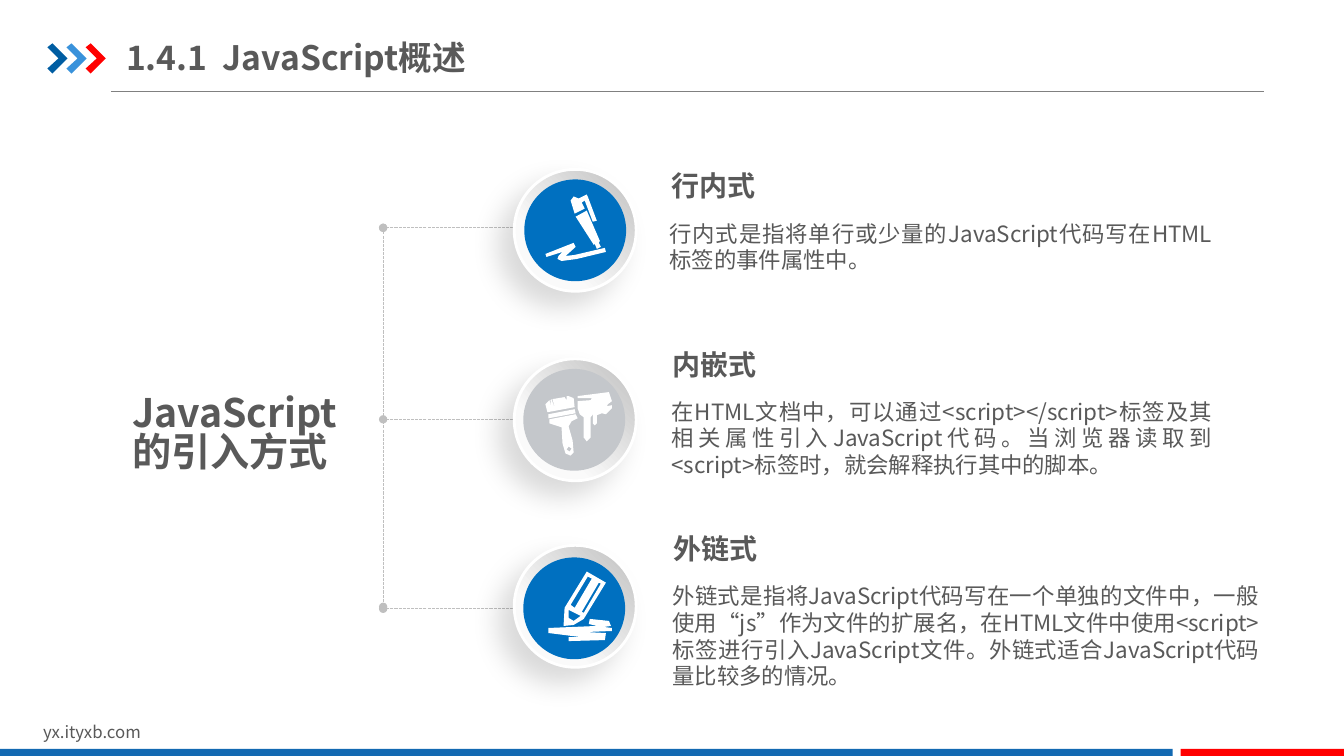
from lxml.etree import SubElement
from pptx import Presentation
from pptx.dml.color import RGBColor
from pptx.enum.dml import MSO_LINE
from pptx.enum.shapes import MSO_CONNECTOR, MSO_SHAPE
from pptx.enum.text import MSO_ANCHOR, MSO_AUTO_SIZE, PP_ALIGN
from pptx.oxml.ns import qn
from pptx.util import Emu, Pt

COLORS = {
    "text": "595959", "rule": "808080", "wire": "BFBFBF", "white": "FFFFFF",
    "navy": "005DA2", "sky": "3992DB", "red": "FF0000", "bar": "1369B2",
    "blue": "0070C0", "silver": "C4C7CB", "ring_dark": "BFBFBF", "ring_light": "FAFAFA",
    "shadow": "000000",
}

CHEVRON = [[(47, 47), (52, 43), (67, 58), (52, 73), (47, 68), (58, 58)]]

PEN = [
    [(571, 215), (582, 209), (595, 239), (594, 241), (596, 245), (592, 247), (590, 242),
     (589, 243)],
    [(541, 252), (542, 255), (558, 250), (554, 254), (553, 257), (557, 259), (572, 257),
     (601, 250), (600, 246), (570, 253), (561, 254), (571, 245), (569, 241)],
    [(574, 197), (569, 195), (566, 199), (570, 212), (580, 207), (577, 201), (580, 199),
     (588, 220), (592, 219), (583, 195), (582, 193), (580, 194)],
]

BRUSHES = [
    [(592, 412), (592, 420), (590, 422), (588, 420), (588, 411), (586, 414), (586, 434),
     (582, 438), (579, 434), (579, 414), (575, 411), (573, 405), (573, 398), (586, 397),
     (587, 395), (573, 395), (573, 393), (604, 389), (607, 398), (603, 401), (602, 403),
     (607, 402), (607, 405), (601, 411), (597, 410)],
    [(544, 411), (570, 406), (571, 410), (544, 415)],
    [(571, 411), (545, 416), (545, 420), (557, 424), (558, 440), (561, 450), (566, 452),
     (569, 449), (568, 437), (564, 423), (567, 418), (573, 415)],
    [(564, 443), (567, 445), (565, 448), (562, 446)],
    [(570, 404), (569, 395), (564, 393), (562, 393), (562, 397), (560, 394), (548, 396),
     (550, 403), (550, 404), (547, 396), (546, 397), (547, 404), (545, 397), (541, 401),
     (543, 409)],
]

PENCIL = [
    [(582, 567), (601, 578), (579, 614), (569, 620), (559, 621), (560, 603)],
    [(600, 635), (601, 628), (581, 627), (607, 626), (607, 623), (599, 622), (606, 621),
     (604, 616), (585, 614), (584, 619), (592, 621), (544, 623), (544, 628), (576, 632),
     (564, 632), (564, 636)],
    [(569, 616), (576, 611), (564, 605), (564, 613)],
    [(594, 578), (577, 607), (579, 608), (596, 579)],
    [(583, 572), (566, 600), (570, 603), (587, 574)],
]

METHODS = [
    dict(wire=226, ring=168, disc=(520, 178), color="blue", icon=PEN,
         heading="行内式", heading_at=(666, 173), body_box=(664, 219, 538, 62),
         body="行内式是指将单行或少量的JavaScript代码写在HTML标签的事件属性中。"),
    dict(wire=416, ring=356, disc=(519, 366), color="silver", icon=BRUSHES,
         heading="内嵌式", heading_at=(667, 350), body_box=(666, 396, 536, 94),
         body="在HTML文档中，可以通过<script></script>标签及其相关属性引入JavaScript代码。"
              "当浏览器读取到<script>标签时，就会解释执行其中的脚本。"),
    dict(wire=604, ring=541, disc=(519, 553), color="blue", icon=PENCIL,
         heading="外链式", heading_at=(668, 533), body_box=(667, 579, 582, 129),
         body="外链式是指将JavaScript代码写在一个单独的文件中，一般使用“js”作为文件的扩展名，"
              "在HTML文件中使用<script>标签进行引入JavaScript文件。"
              "外链式适合JavaScript代码量比较多的情况。"),
]


class SlideBuilder:
    font = "Noto Sans CJK SC"
    scale = 9144
    tight = 0.83
    loose = 0.99

    def __init__(self):
        self.deck = Presentation()
        self.deck.slide_width = self.px(1333)
        self.deck.slide_height = self.px(750)
        self.slide = self.deck.slides.add_slide(self.deck.slide_layouts[5])
        self.shapes = self.slide.shapes

    def px(self, length):
        return Emu(length * self.scale)

    def rgb(self, color):
        return RGBColor.from_string(COLORS[color])

    def fill_frame(self, frame, text, size, bold, align, spacing, insets):
        frame.word_wrap = True
        frame.auto_size = MSO_AUTO_SIZE.NONE
        frame.margin_left = frame.margin_right = self.px(insets[0])
        frame.margin_top = frame.margin_bottom = self.px(insets[1])
        frame.text = text
        paragraph = frame.paragraphs[0]
        paragraph.alignment = align
        paragraph.line_spacing = spacing
        for run in paragraph.runs:
            run.font.size = Pt(size)
            run.font.bold = bold
            run.font.name = self.font
            run.font.color.rgb = self.rgb("text")
            SubElement(run._r.get_or_add_rPr(), qn("a:ea"), typeface=self.font)

    def title(self, text, box, size):
        title = self.shapes.title
        title.left, title.top, title.width, title.height = map(self.px, box)
        self.fill_frame(title.text_frame, text, size, True, PP_ALIGN.LEFT, 1.0, (0, 7))
        title.text_frame.vertical_anchor = MSO_ANCHOR.MIDDLE

    def text(self, text, box, size, bold=False, align=PP_ALIGN.LEFT, spacing=tight,
             insets=(0, 0)):
        area = self.shapes.add_textbox(*map(self.px, box))
        self.fill_frame(area.text_frame, text, size, bold, align, spacing, insets)

    def paint(self, shape, color):
        shape.shadow.inherit = False
        shape.fill.solid()
        shape.fill.fore_color.rgb = self.rgb(color)
        shape.line.fill.background()

    def block(self, kind, box, color):
        self.paint(self.shapes.add_shape(kind, *map(self.px, box)), color)

    def outline(self, contours, color, shift=0):
        moved = [[(x + shift, y) for x, y in contour] for contour in contours]
        builder = self.shapes.build_freeform(*moved[0][0], scale=self.scale)
        for contour in moved:
            if contour is not moved[0]:
                builder.move_to(*contour[0])
            builder.add_line_segments(contour[1:], close=True)
        self.paint(builder.convert_to_shape(), color)

    def line(self, start, end, color, dotted=False):
        line = self.shapes.add_connector(MSO_CONNECTOR.STRAIGHT, *map(self.px, start + end))
        line.line.color.rgb = self.rgb(color)
        line.line.width = Pt(0.75)
        if dotted:
            line.line.dash_style = MSO_LINE.SQUARE_DOT
            stroke = line._element.spPr.find(qn("a:ln"))
            for tip in ("a:headEnd", "a:tailEnd"):
                SubElement(stroke, qn(tip), type="oval")
        SubElement(line._element.spPr, qn("a:effectLst"))

    def ring(self, box):
        ring = self.shapes.add_shape(MSO_SHAPE.OVAL, *map(self.px, box))
        ring.fill.gradient()
        ring.fill.gradient_angle = 225
        stops = zip(ring.fill.gradient_stops, ("ring_dark", "ring_light"), (0, 0.7))
        for stop, color, position in stops:
            stop.color.rgb = self.rgb(color)
            stop.position = position
        ring.line.color.rgb = self.rgb("white")
        ring.line.width = Pt(2)
        ring.shadow.inherit = False
        effects = ring._element.spPr.find(qn("a:effectLst"))
        shadow = SubElement(effects, qn("a:outerShdw"), blurRad=str(int(Pt(20))),
                            dist=str(int(Pt(15))), dir=str(135 * 60000), algn="tr",
                            rotWithShape="0")
        tone = SubElement(shadow, qn("a:srgbClr"), val=COLORS["shadow"])
        SubElement(tone, qn("a:alpha"), val="15000")


def main():
    page = SlideBuilder()
    page.line((110, 91), (1254, 91), "rule")
    for index, color in enumerate(("navy", "sky", "red")):
        page.outline(CHEVRON, color, shift=19 * index)
    page.text("yx.ityxb.com", (33, 714, 318, 30), 12, insets=(10, 5))
    page.block(MSO_SHAPE.RECTANGLE, (0, 743, 1163, 9), "bar")
    page.block(MSO_SHAPE.RECTANGLE, (1171, 743, 163, 9), "red")
    page.title("1.4.1  JavaScript概述", (125, 29, 426, 55), 24)

    for method in METHODS:
        page.line((574, method["wire"]), (380, method["wire"]), "wire", dotted=True)
    page.line((380, 226), (380, 602), "wire", dotted=True)
    for method in METHODS:
        page.ring((510, method["ring"], 121, 121))
        page.block(MSO_SHAPE.OVAL, (*method["disc"], 101, 101), method["color"])
        page.outline(method["icon"], "white")
        page.text(method["body"], method["body_box"], 16, align=PP_ALIGN.JUSTIFY,
                  spacing=page.loose)
        page.text(method["heading"], (*method["heading_at"], 217, 36), 20, bold=True)
    page.text("JavaScript的引入方式", (131, 393, 236, 36), 28, bold=True)
    page.deck.save("out.pptx")


if __name__ == "__main__":
    main()
